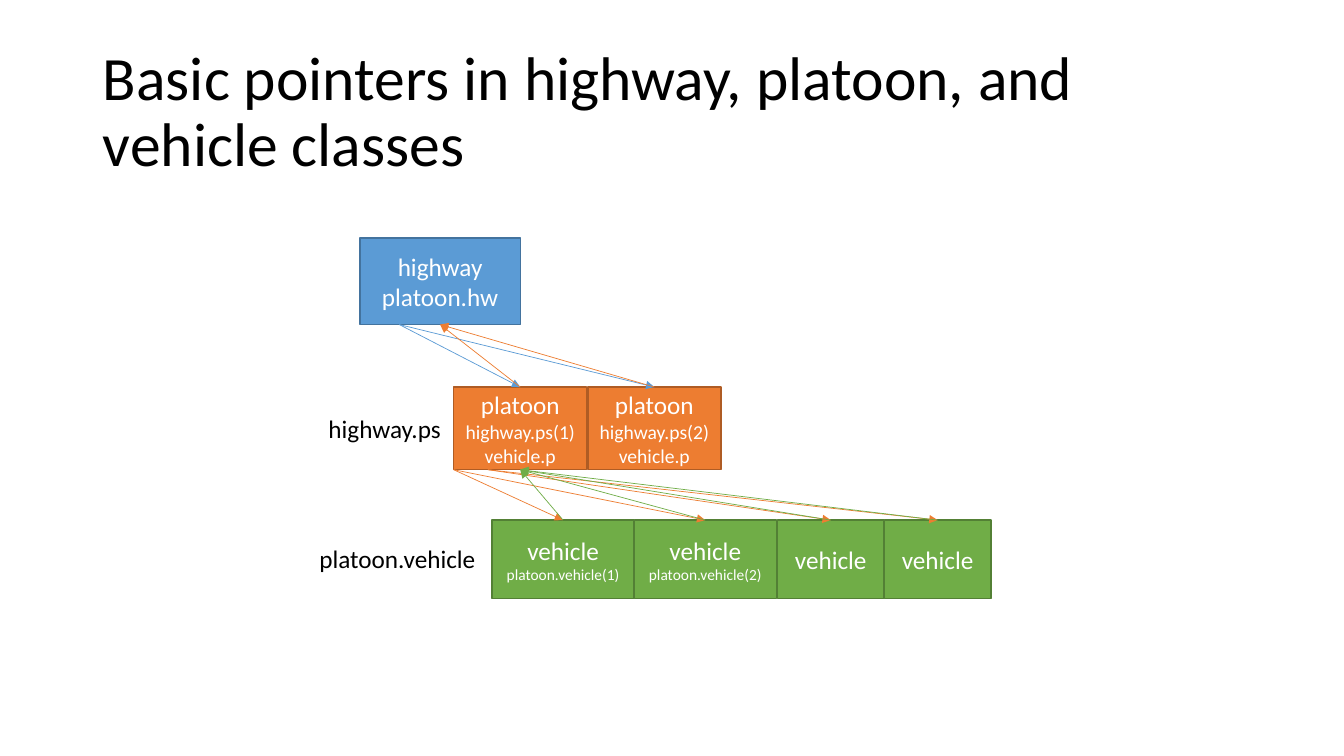
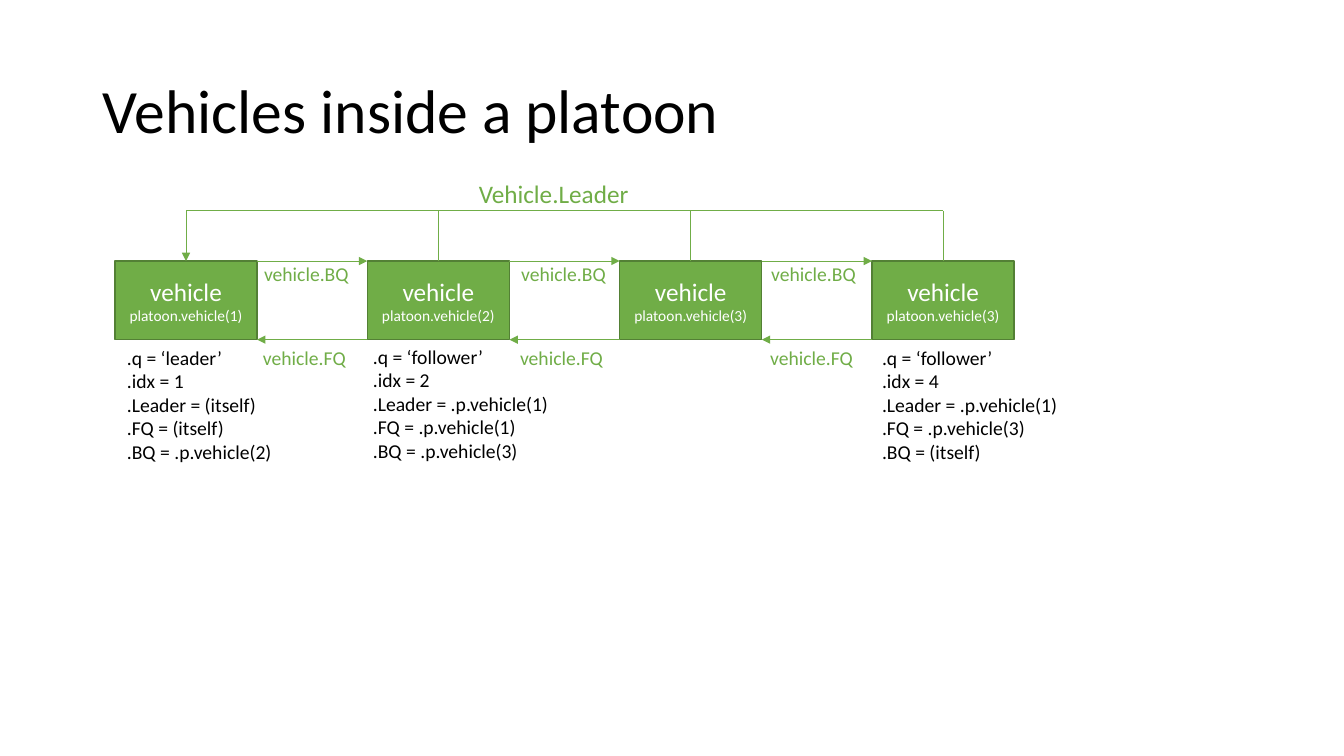
from dataclasses import dataclass

from lxml.etree import SubElement
from pptx import Presentation
from pptx.dml.color import RGBColor
from pptx.enum.shapes import MSO_CONNECTOR, MSO_SHAPE
from pptx.enum.text import MSO_ANCHOR, MSO_AUTO_SIZE, PP_ALIGN
from pptx.oxml.ns import qn
from pptx.slide import Slide
from pptx.text.text import TextFrame
from pptx.util import Inches, Pt

FONT = "Calibri"
BLACK, WHITE = "000000", "FFFFFF"
BLUE, ORANGE, GREEN = "5B9BD5", "ED7D31", "70AD47"
BORDERS = {BLUE: "43739E", ORANGE: "AF5C24", GREEN: "538035"}
Point = tuple[float, float]
Line = tuple[str, float]  # wording and size in points


@dataclass(frozen=True)
class Node:
    """A coloured class box."""
    left: float
    top: float
    width: float
    height: float
    color: str
    lines: tuple[Line, ...]

    @property
    def center(self) -> float:
        return self.left + self.width / 2

    @property
    def right(self) -> float:
        return self.left + self.width

    @property
    def bottom(self) -> float:
        return self.top + self.height


@dataclass(frozen=True)
class Label:
    """Free text without a frame."""
    left: float
    top: float
    width: float
    height: float
    lines: tuple[Line, ...]
    color: str = BLACK


def rgb(color: str) -> RGBColor:
    return RGBColor.from_string(color)


def write(frame: TextFrame, lines: tuple[Line, ...], color: str,
          align: PP_ALIGN = PP_ALIGN.LEFT, spacing: float = 1.0) -> None:
    for index, (wording, size) in enumerate(lines):
        paragraph = frame.paragraphs[0] if index == 0 else frame.add_paragraph()
        paragraph.alignment = align
        paragraph.line_spacing = spacing
        run = paragraph.add_run()
        run.text = wording
        for name, value in {"name": FONT, "size": Pt(size)}.items():
            setattr(run.font, name, value)
        run.font.color.rgb = rgb(color)


def add_titled_slide(deck: Presentation, wording: str) -> Slide:
    slide = deck.slides.add_slide(deck.slide_layouts[5])
    title = slide.shapes.title
    place = {"left": 0.92, "top": 0.4, "width": 11.5, "height": 1.45}
    for name, value in place.items():
        setattr(title, name, Inches(value))
    title.text_frame.auto_size = MSO_AUTO_SIZE.NONE
    title.text_frame.vertical_anchor = MSO_ANCHOR.MIDDLE
    write(title.text_frame, ((wording, 44),), BLACK, spacing=0.9)
    return slide


def draw_node(slide: Slide, node: Node) -> None:
    box = slide.shapes.add_shape(
        MSO_SHAPE.RECTANGLE, Inches(node.left), Inches(node.top),
        Inches(node.width), Inches(node.height))
    box.shadow.inherit = False
    box.fill.solid()
    box.fill.fore_color.rgb = rgb(node.color)
    box.line.color.rgb = rgb(BORDERS[node.color])
    box.line.width = Pt(1)
    box.text_frame.word_wrap = True
    box.text_frame.vertical_anchor = MSO_ANCHOR.MIDDLE
    write(box.text_frame, node.lines, WHITE, PP_ALIGN.CENTER)


def draw_label(slide: Slide, label: Label) -> None:
    box = slide.shapes.add_textbox(
        Inches(label.left), Inches(label.top),
        Inches(label.width), Inches(label.height))
    box.text_frame.word_wrap = False
    box.text_frame.auto_size = MSO_AUTO_SIZE.SHAPE_TO_FIT_TEXT
    write(box.text_frame, label.lines, label.color)


def draw_line(slide: Slide, start: Point, end: Point, color: str,
              arrow: bool = True) -> None:
    line = slide.shapes.add_connector(
        MSO_CONNECTOR.STRAIGHT, *(Inches(value) for value in start + end))
    line.line.color.rgb = rgb(color)
    line.line.width = Pt(0.5)
    properties = line._element.spPr
    if arrow:
        SubElement(properties.find(qn("a:ln")), qn("a:tailEnd"), type="triangle")
    SubElement(properties, qn("a:effectLst"))


def vehicle(left: float, top: float, number: int) -> Node:
    return Node(left, top, 1.41, 0.78, GREEN,
                (("vehicle", 18), (f"platoon.vehicle({number})", 11)))


def build_pointers(deck: Presentation) -> None:
    slide = add_titled_slide(deck, "Basic pointers in highway, platoon, and vehicle classes")

    # Three levels of classes
    highway = Node(3.57, 2.36, 1.59, 0.86, BLUE,
                   (("highway", 18), ("platoon.hw", 18)))
    platoons = [
        Node(4.5 + 1.33 * index, 3.84, 1.32, 0.82, ORANGE,
             (("platoon", 18), (f"highway.ps({index + 1})", 14), ("vehicle.p", 14)))
        for index in range(2)]
    vehicles = [vehicle(4.88 + 1.41 * index, 5.16, index + 1) for index in range(2)]
    vehicles += [Node(7.71 + 1.06 * index, 5.16, 1.06, 0.78, GREEN, (("vehicle", 18),))
                 for index in range(2)]
    for node in [highway, *platoons, *vehicles]:
        draw_node(slide, node)

    # Pointers down to the children and back up to the parent
    first = platoons[0]
    for platoon in platoons:
        draw_line(slide, (3.96, highway.bottom), (platoon.center, platoon.top), BLUE)
    for platoon in platoons:
        draw_line(slide, (platoon.center, platoon.top),
                  (highway.center, highway.bottom), ORANGE)
    for child, start in zip(vehicles, (4.5, 4.5, 4.84, 4.84)):
        draw_line(slide, (start, first.bottom), (child.center, child.top), ORANGE)
    for child in vehicles:
        draw_line(slide, (child.center, child.top), (first.center, first.bottom), GREEN)

    # Names of the arrays
    draw_label(slide, Label(3.16, 4.05, 1.33, 0.4, (("highway.ps", 18),)))
    draw_label(slide, Label(3.07, 5.34, 1.77, 0.4, (("platoon.vehicle", 18),)))


def build_platoon(deck: Presentation) -> None:
    slide = add_titled_slide(deck, "Vehicles inside a platoon")

    # Row of vehicles
    vehicles = [vehicle(1.14 + 2.503 * index, 2.59, number)
                for index, number in enumerate((1, 2, 3, 3))]
    for node in vehicles:
        draw_node(slide, node)

    # Pointers between neighbours
    for front, back, left in zip(vehicles, vehicles[1:], (2.51, 5.06, 7.54)):
        draw_line(slide, (front.right, front.top), (back.left, back.top), GREEN)
        draw_line(slide, (back.left, back.bottom), (front.right, front.bottom), GREEN)
        draw_label(slide, Label(left, 3.38, 1.03, 0.34, (("vehicle.FQ", 14),), GREEN))
        draw_label(slide, Label(left + 0.01, 2.55, 1.05, 0.34, (("vehicle.BQ", 14),), GREEN))

    # Shared pointer to the leader
    leader, *followers = vehicles
    rail = 2.09
    for follower in followers:
        draw_line(slide, (follower.center, follower.top), (follower.center, rail),
                  GREEN, arrow=False)
    draw_line(slide, (followers[-1].center, rail), (leader.center, rail), GREEN, arrow=False)
    draw_line(slide, (leader.center, rail), (leader.center, leader.top), GREEN)
    draw_label(slide, Label(4.65, 1.72, 1.71, 0.4, (("Vehicle.Leader", 18),), GREEN))

    # Property values under the vehicles
    fields = (".q", ".idx", ".Leader", ".FQ", ".BQ")
    states = (
        (1.16, 3.38, 1.65, ("‘leader’", "1", "(itself)", "(itself)", ".p.vehicle(2)")),
        (3.6, 3.37, 1.96, ("‘follower’", "2", ".p.vehicle(1)", ".p.vehicle(1)", ".p.vehicle(3)")),
        (8.65, 3.38, 1.96, ("‘follower’", "4", ".p.vehicle(1)", ".p.vehicle(3)", "(itself)")),
    )
    for left, top, width, values in states:
        lines = tuple((f"{field} = {value}", 14) for field, value in zip(fields, values))
        draw_label(slide, Label(left, top, width, 1.27, lines))


def main() -> None:
    deck = Presentation()
    deck.slide_width, deck.slide_height = Inches(13.33), Inches(7.5)
    build_pointers(deck)
    build_platoon(deck)
    deck.save("out.pptx")


if __name__ == "__main__":
    main()
